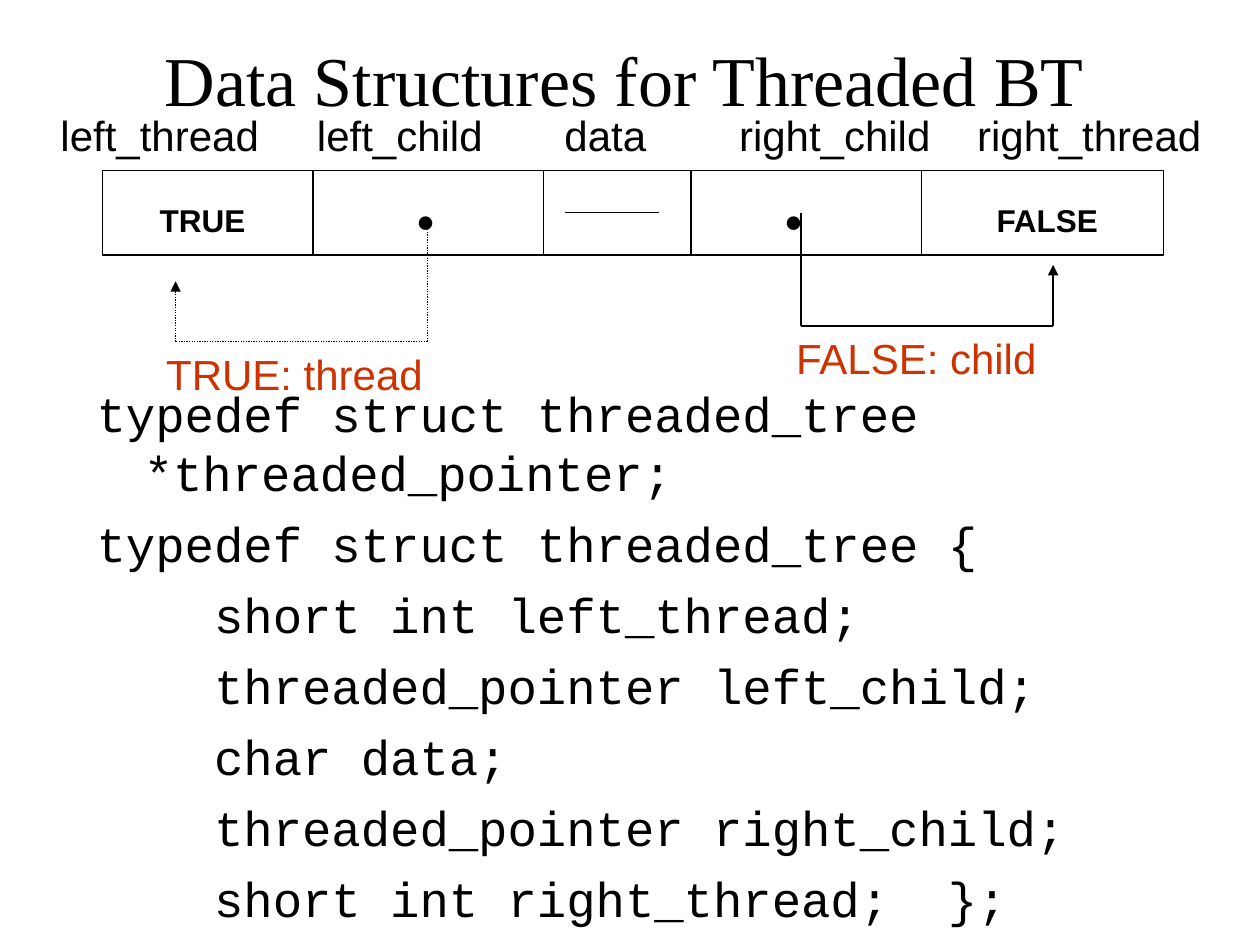
from lxml import etree
from pptx import Presentation
from pptx.dml.color import RGBColor
from pptx.enum.dml import MSO_LINE
from pptx.enum.shapes import MSO_CONNECTOR, MSO_SHAPE
from pptx.enum.text import MSO_ANCHOR
from pptx.oxml.ns import qn
from pptx.util import Cm, Pt

COLORS = {"ink": "000000", "accent": "CC3300"}
STRAIGHT = MSO_CONNECTOR.STRAIGHT
RECTANGLE = MSO_SHAPE.RECTANGLE
MIDDLE = MSO_ANCHOR.MIDDLE
DOTTED = MSO_LINE.ROUND_DOT
LINE_WIDTH = Pt(0.75)

FIELD_TABS = (5.17, 10.16, 13.68, 18.48)
DIVIDERS = (4.24, 8.89, 11.86, 16.51)
CODE = (
    "typedef struct threaded_tree *threaded_pointer;",
    "typedef struct threaded_tree {",
    "    short int left_thread;",
    "    threaded_pointer left_child;",
    "    char data;",
    "    threaded_pointer right_child;",
    "    short int right_thread;  };",
)


def color(name):
    """Return the named colour."""
    return RGBColor.from_string(COLORS[name])


def add_text(page, area, lines, size, font="Arial", ink="ink", bold=False, wrap=False):
    """Add a text box with one paragraph per line."""
    box = page.shapes.add_textbox(*map(Cm, area))
    frame = box.text_frame
    frame.word_wrap = wrap
    frame.text = "\n".join(lines)
    for para in frame.paragraphs:
        for span in para.runs:
            span.font.name = font
            span.font.size = Pt(size)
            span.font.bold = bold
            span.font.color.rgb = color(ink)
    return frame


def add_line(page, start, end, dash=None, arrow=False):
    """Draw a thin straight line, optionally dashed or with an arrowhead."""
    line = page.shapes.add_connector(STRAIGHT, *map(Cm, (*start, *end)))
    line.line.color.rgb = color("ink")
    line.line.width = LINE_WIDTH
    if dash is not None:
        line.line.dash_style = dash
    if arrow:
        etree.SubElement(line.line._get_or_add_ln(), qn("a:tailEnd"), type="triangle")
    etree.SubElement(line._element.spPr, qn("a:effectLst"))


def add_title(page, area):
    """Place the slide title."""
    frame = add_text(page, area, ["Data Structures for Threaded BT"], 40,
                     "Times New Roman", wrap=True)
    frame.vertical_anchor = MIDDLE


def add_field_names(page, area):
    """Place the field names on tab stops above the node."""
    names = "left_thread\tleft_child\tdata\tright_child\tright_thread"
    frame = add_text(page, area, [names], 24)
    properties = frame.paragraphs[0]._p.get_or_add_pPr()
    tabs = etree.SubElement(properties, qn("a:tabLst"))
    for stop in FIELD_TABS:
        etree.SubElement(tabs, qn("a:tab"), pos=str(Cm(stop)), algn="l")


def add_node(page, area):
    """Draw the five-field node and its contents."""
    left, top, width, height = area
    node = page.shapes.add_shape(RECTANGLE, *map(Cm, area))
    node.shadow.inherit = False
    node.fill.background()
    node.line.color.rgb = color("ink")
    node.line.width = LINE_WIDTH
    for offset in DIVIDERS:
        add_line(page, (left + offset, top), (left + offset, top + height))
    add_line(page, (left + 9.32, top + height / 2), (left + 11.22, top + height / 2))
    for offset, label, label_width, bold in (
        (0.9, "TRUE", 2.25, True),
        (6.07, "●", 1.14, False),
        (13.49, "●", 1.14, False),
        (17.77, "FALSE", 2.57, True),
    ):
        add_text(page, (left + offset, top + 0.48, label_width, 1.02), [label], 18, bold=bold)


def add_link(page, start, end, bottom, dash=None):
    """Draw an elbow link that drops from start and rises to end."""
    corners = (start, (start[0], bottom), (end[0], bottom), end)
    for index in range(3):
        add_line(page, corners[index], corners[index + 1], dash, arrow=index == 2)


def add_code(page, area):
    """Place the structure declaration."""
    frame = add_text(page, area, CODE, 28, "Courier New", wrap=True)
    for index, para in enumerate(frame.paragraphs):
        properties = para._p.get_or_add_pPr()
        properties.set("marL", str(Cm(0.95)))
        properties.set("indent", str(Cm(-0.95)))
        if index:
            para.space_before = Pt(7)


def main():
    """Build the slide and save the deck."""
    deck = Presentation()
    deck.slide_width, deck.slide_height = Cm(25.4), Cm(19.05)
    page = deck.slides.add_slide(deck.slide_layouts[6])
    add_node(page, (2.07, 3.44, 21.39, 1.7))
    add_link(page, (16.15, 4.29), (21.23, 5.34), 6.57)
    add_link(page, (8.62, 4.62), (3.54, 5.67), 6.89, DOTTED)
    add_title(page, (3.07, 0, 19.43, 3.18))
    add_code(page, (1.7, 7.6, 25.45, 11.43))
    add_field_names(page, (0.97, 2.08, 23.52, 1.27))
    add_text(page, (15.8, 6.58, 5.38, 1.27), ["FALSE: child"], 24, ink="accent")
    add_text(page, (3.1, 6.9, 5.69, 1.27), ["TRUE: thread"], 24, ink="accent")
    deck.save("out.pptx")


if __name__ == "__main__":
    main()
